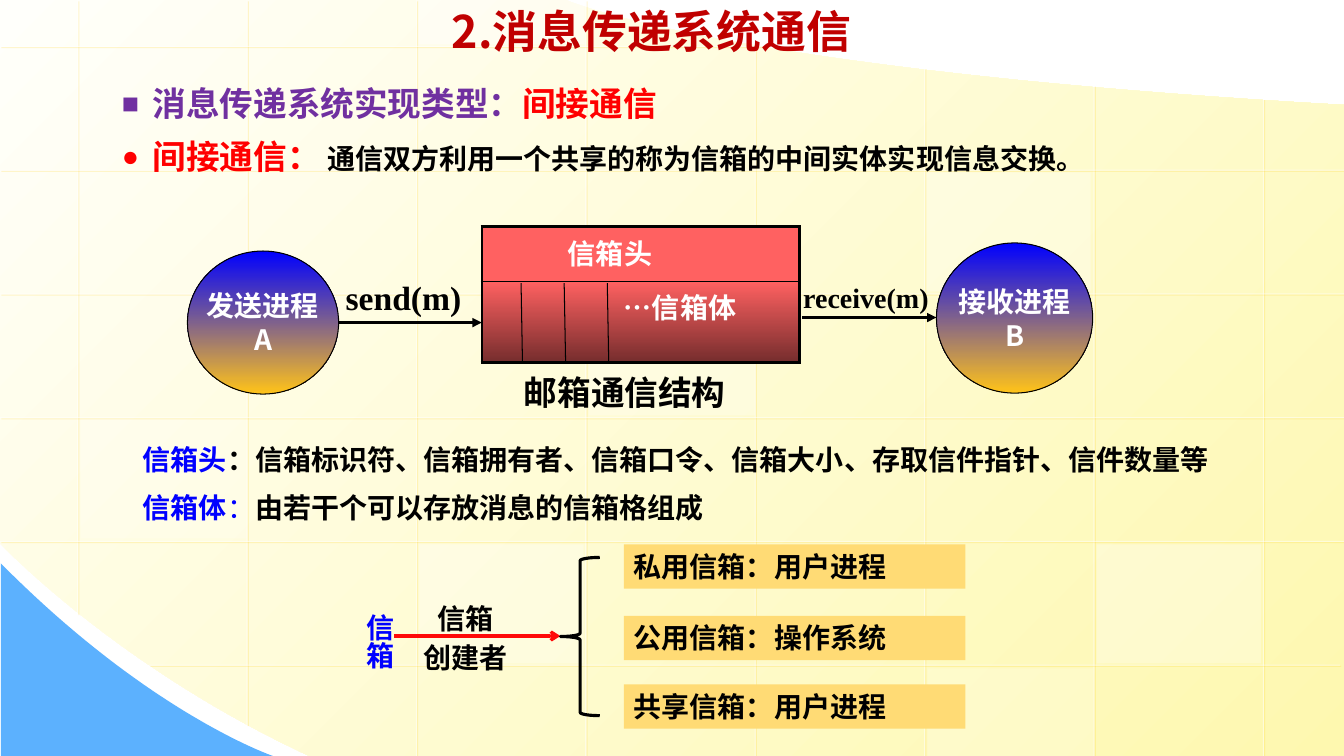
from dataclasses import dataclass
from lxml.etree import SubElement
from pptx import Presentation
from pptx.dml.color import RGBColor
from pptx.enum.shapes import MSO_CONNECTOR, MSO_SHAPE
from pptx.enum.text import MSO_ANCHOR, MSO_AUTO_SIZE, PP_ALIGN
from pptx.oxml.ns import qn
from pptx.util import Pt

HUES = {
    "ink": "000000", "white": "FFFFFF", "title": "C00000", "plum": "7030A0",
    "red": "FF0000", "blue": "0000FF", "gold": "FFC319", "arrow": "FF0909",
    "coral": "FF6161", "wine": "752D2D", "sand": "FFDB75", "glow": "FFCC00",
    "cream": "FFFFFB", "lemon": "FEF8AF", "sky": "5CB1FE",
}
SANS, ARIAL, TIMES = "Noto Sans CJK SC", "Arial", "Times New Roman"


@dataclass
class Box:
    left: float
    top: float
    width: float
    height: float

    def span(self) -> list:
        return [Pt(n) for n in (self.left, self.top, self.width, self.height)]


@dataclass
class Line:
    start: tuple
    end: tuple
    width: float = 0.75
    hue: str = "ink"
    head: str = ""
    grid: bool = False


@dataclass
class Label:
    box: Box
    text: str
    size: float = 20
    face: str = ARIAL
    hue: str = "ink"


@dataclass
class Node:
    box: Box
    name: str
    mark: str


def tint(hue: str) -> RGBColor:
    return RGBColor.from_string(HUES[hue])


def fade(color, share: int) -> None:
    SubElement(color, qn("a:alpha"), val=str(share * 1000))


def blend(fill, first: str, last: str, angle: int) -> None:
    fill.gradient()
    fill.gradient_angle = angle
    for stop, hue in zip(fill.gradient_stops, (first, last)):
        stop.color.rgb = tint(hue)


def write(para, text: str, *, size: float = 20, face: str = ARIAL, hue: str = "ink",
          bold: bool = True, align=PP_ALIGN.LEFT, before: float = 0, lead: float = 1) -> None:
    para.alignment, para.space_before, para.line_spacing = align, Pt(before), lead
    run = para.add_run()
    run.text = text
    font = run.font
    font.size, font.name, font.bold = Pt(size), face, bold
    font.color.rgb = tint(hue)


def frame(shape, anchor=MSO_ANCHOR.TOP, wrap: bool = True):
    text = shape.text_frame
    text.word_wrap, text.auto_size, text.vertical_anchor = wrap, MSO_AUTO_SIZE.NONE, anchor
    return text


def place(shape, box: Box):
    shape.left, shape.top, shape.width, shape.height = box.span()
    return frame(shape)


def area(shapes, box: Box):
    return frame(shapes.add_textbox(*box.span()))


def form(shapes, kind, box: Box, hue: str, share: int = 100):
    shape = shapes.add_shape(kind, *box.span())
    shape.shadow.inherit = False
    shape.fill.solid()
    shape.fill.fore_color.rgb = tint(hue)
    shape.line.fill.background()
    if share < 100:
        fade(shape.element.xpath("./p:spPr//a:srgbClr")[0], share)
    return shape


def join(shapes, line: Line) -> None:
    ends = [Pt(n) for n in line.start + line.end]
    shape = shapes.add_connector(MSO_CONNECTOR.STRAIGHT, *ends)
    shape.line.width = Pt(line.width)
    shape.line.color.rgb = tint(line.hue)
    props = shape.element.spPr
    if line.head:
        SubElement(props.find(qn("a:ln")), qn("a:tailEnd"), type=line.head)
    glow = SubElement(props, qn("a:effectLst"))
    if line.grid:
        fade(props.xpath(".//a:srgbClr")[0], 50)
        cast = SubElement(glow, qn("a:outerShdw"), dist=str(Pt(1.4)), dir="2700000")
        fade(SubElement(cast, qn("a:srgbClr"), val=HUES["glow"]), 34)


def curve(a: tuple, b: tuple, c: tuple, d: tuple, steps: int = 40) -> list:
    times = [n / steps for n in range(steps + 1)]
    return [tuple((1 - t) ** 3 * p + 3 * t * (1 - t) ** 2 * q + 3 * t * t * (1 - t) * r + t ** 3 * s
                  for p, q, r, s in zip(a, b, c, d)) for t in times]


def trace(shapes, points: list):
    pen = shapes.build_freeform(Pt(points[0][0]), Pt(points[0][1]))
    pen.add_line_segments([(Pt(x), Pt(y)) for x, y in points[1:]], close=True)
    shape = pen.convert_to_shape()
    shape.shadow.inherit = False
    shape.line.fill.background()
    return shape


def scene(shapes) -> None:
    page = [(960, 540)] + curve((221, 540), (82.8, 476), (0, 388), (0, 388))
    page += [(0, 0)] + curve((404, 0), (404, 0), (515, 50), (960, 75))
    blend(trace(shapes, page).fill, "cream", "lemon", 315)
    wedge = trace(shapes, [(0.7, 540)] + curve((195, 540), (195, 540), (107, 510), (0.7, 402.5)))
    wedge.fill.solid()
    wedge.fill.fore_color.rgb = tint("sky")
    tops = [0, 0, 0, 0, 31, 49, 61, 70.5]
    feet = [438.5, 517.7] + [540] * 6
    for n, (top, foot) in enumerate(zip(tops, feet)):
        x = 55.4 + 121 * n
        join(shapes, Line((x, top), (x, foot), hue="white", grid=True))
    sides = [(545, 0)] + [(960, 0)] * 4 + [(957, 106.6)]
    for n, (right, left) in enumerate(sides):
        y = 33.1 + 88.4 * n
        join(shapes, Line((right, y), (left, y), hue="white", grid=True))
    panes = [
        (Box(420.5, 211.7, 118.8, 85), 25), (Box(783.4, 388.8, 117.4, 85), 30),
        (Box(57.6, 299.5, 118.8, 85), 20), (Box(662.4, 477.4, 118.8, 62.6), 20),
        (Box(298.8, 0, 118.8, 31.7), 40), (Box(299.5, 388.8, 117.4, 85), 30),
        (Box(661.7, 123.1, 117.4, 85), 30),
    ]
    for box, share in panes:
        form(shapes, MSO_SHAPE.RECTANGLE, box, "white", share)


def heads(slide) -> None:
    title, body = slide.placeholders
    write(place(title, Box(315.4, 3.6, 368.6, 42.5)).paragraphs[0], "2.消息传递系统通信",
          size=32, face=SANS, hue="title", lead=0.9)
    text = place(body, Box(79.9, 59, 726.5, 77))
    rows = [
        ("■", 0, [("消息传递系统实现类型：", 24, SANS, "plum"), ("间接通信", 24, SANS, "red")]),
        ("●", 12, [("间接通信：", 24, SANS, "red"),
                   (" 通信双方利用一个共享的称为信箱的中间实体实现信息交换。", 20, ARIAL, "ink")]),
    ]
    for n, (mark, gap, runs) in enumerate(rows):
        para = text.add_paragraph() if n else text.paragraphs[0]
        props = para._p.get_or_add_pPr()
        props.set("marL", str(Pt(22)))
        props.set("indent", str(Pt(-22)))
        SubElement(props, qn("a:buSzPct"), val="85000")
        SubElement(props, qn("a:buFont"), typeface=ARIAL)
        SubElement(props, qn("a:buChar"), char=mark)
        for words, size, face, hue in runs:
            write(para, words, size=size, face=face, hue=hue, before=gap, lead=0.9)
    for shape in (title, body):
        slide.shapes.element.append(shape.element)


def edge(cell, **sides: float) -> None:
    props = cell._tc.get_or_add_tcPr()
    for side, width in sides.items():
        line = SubElement(props, qn(f"a:ln{side}"), w=str(Pt(width)))
        SubElement(SubElement(line, qn("a:solidFill")), qn("a:srgbClr"), val=HUES["ink"])


def mailbox(shapes) -> None:
    table = shapes.add_table(2, 1, *Box(344.2, 162, 226.8, 97.2).span()).table
    table.first_row = table.horz_banding = False
    rows = [("信箱头", ARIAL, 38.9, 61.5, 2.25, 1), ("…信箱体", SANS, 58.3, 101.5, 1, 2.25)]
    for n, (text, face, height, inset, top, foot) in enumerate(rows):
        table.rows[n].height = Pt(height)
        cell = table.cell(n, 0)
        cell.margin_left = Pt(inset)
        edge(cell, L=2.25, R=2.25, T=top, B=foot)
        write(cell.text_frame.paragraphs[0], text, face=face, hue="white")
    top, base = table.cell(0, 0), table.cell(1, 0)
    top.fill.solid()
    top.fill.fore_color.rgb = tint("coral")
    blend(base.fill, "coral", "wine", 270)
    for n in range(3):
        x = 372.2 + 30.8 * n
        join(shapes, Line((x, 202.3), (x + 1, 257.8)))


def main() -> None:
    deck = Presentation()
    deck.slide_width, deck.slide_height = Pt(960), Pt(540)
    slide = deck.slides.add_slide(deck.slide_layouts[1])
    shapes = slide.shapes
    scene(shapes)
    heads(slide)
    mailbox(shapes)
    for node in (Node(Box(133.9, 179.3, 108, 102.2), "发送进程", "A"),
                 Node(Box(668.9, 173.5, 111.6, 107.3), "接收进程", "B")):
        oval = form(shapes, MSO_SHAPE.OVAL, node.box, "blue")
        blend(oval.fill, "blue", "gold", 270)
        oval.line.color.rgb = tint("ink")
        oval.line.width = Pt(0.75)
        text = frame(oval, MSO_ANCHOR.MIDDLE, False)
        for para, words in ((text.paragraphs[0], node.name), (text.add_paragraph(), node.mark)):
            write(para, words, face=SANS, hue="white", align=PP_ALIGN.CENTER)
    for line in (Line((241.9, 230.4), (344.2, 230.4), 2.25, head="triangle"),
                 Line((573.1, 226.8), (668.9, 226.8), 2.25, head="triangle"),
                 Line((281.5, 454.3), (400.3, 454.3), 2.25, "arrow", "arrow")):
        join(shapes, line)
    for tag in (Label(Box(239.8, 194.4, 104.4, 36.7), "send(m)", 24, TIMES),
                Label(Box(566.6, 196.6, 113.8, 31.7), "receive(m)", 20, TIMES),
                Label(Box(367.2, 262.1, 204.5, 36.7), "邮箱通信结构", 24, SANS)):
        write(area(shapes, tag.box).paragraphs[0], tag.text, size=tag.size, face=tag.face, hue=tag.hue)
    notes = [
        (312.5, 810.7, [("信箱头", "blue", True),
                        ("：信箱标识符、信箱拥有者、信箱口令、信箱大小、存取信件指针、信件数量等", "ink", True)]),
        (347, 594.7, [("信箱体", "blue", True), ("：", "blue", False),
                      ("由若干个可以存放消息的信箱格组成", "ink", True)]),
    ]
    for top, width, runs in notes:
        para = area(shapes, Box(95, top, width, 31.7)).paragraphs[0]
        for words, hue, bold in runs:
            write(para, words, face=TIMES, hue=hue, bold=bold)
    stack = area(shapes, Box(247.7, 431.3, 38.9, 65.5))
    stack._txBody.bodyPr.set("vert", "eaVert")
    write(stack.paragraphs[0], "信箱", hue="blue")
    maker = area(shapes, Box(293, 426.2, 79.2, 60.5))
    write(maker.paragraphs[0], "信箱", align=PP_ALIGN.CENTER)
    write(maker.add_paragraph(), "创建者", align=PP_ALIGN.CENTER, before=4)
    for top, words in ((388.8, "私用信箱：用户进程"), (439.9, "公用信箱：操作系统"), (488.9, "共享信箱：用户进程")):
        bar = form(shapes, MSO_SHAPE.RECTANGLE, Box(445.7, top, 244, 31.7), "sand")
        write(frame(bar).paragraphs[0], words)
    brace = form(shapes, MSO_SHAPE.LEFT_BRACE, Box(400.3, 398.2, 28.1, 113), "white")
    brace.fill.background()
    brace.line.color.rgb = tint("ink")
    brace.line.width = Pt(2.25)
    deck.save("out.pptx")


if __name__ == "__main__":
    main()
